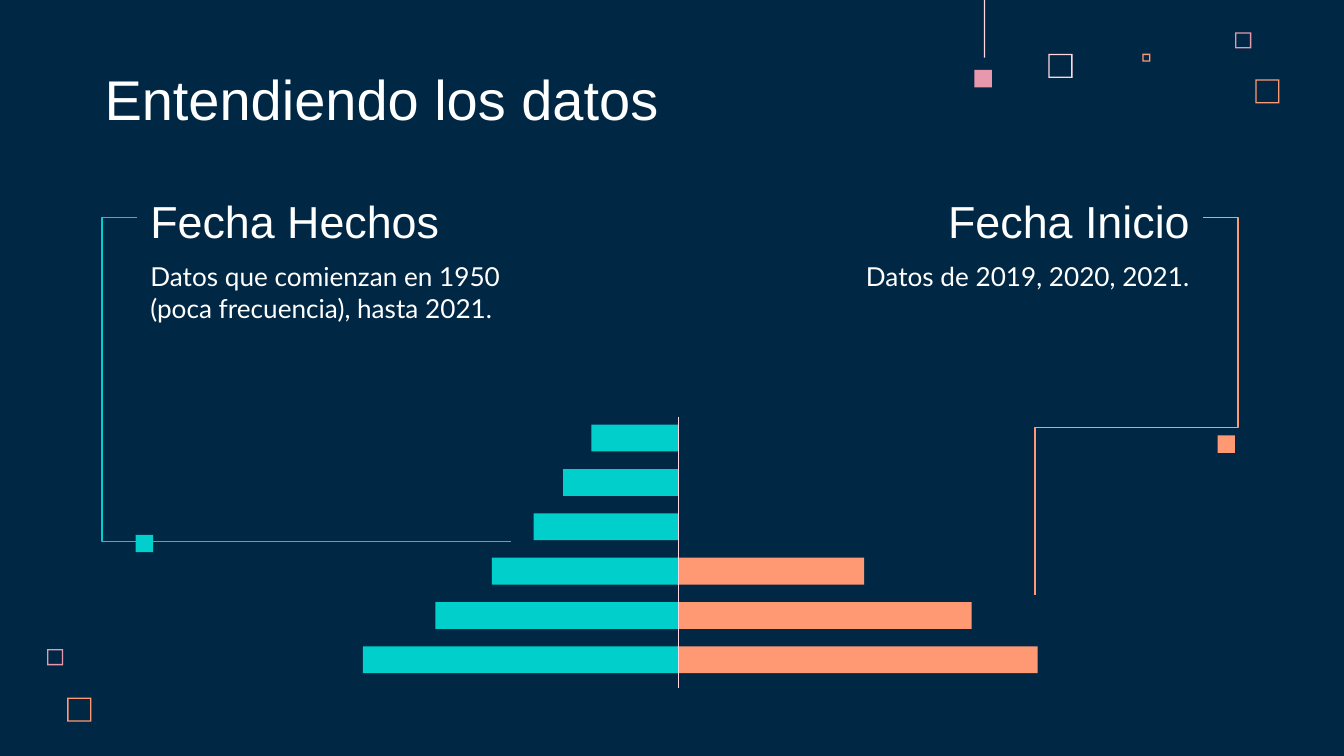
import pptx
import pptx.util
import pptx.dml.color
import pptx.enum.shapes
import pptx.enum.text
import pptx.oxml
import pptx.oxml.ns

Inches = pptx.util.Inches
Pt = pptx.util.Pt
RGBColor = pptx.dml.color.RGBColor
SHAPE = pptx.enum.shapes.MSO_SHAPE
CONNECTOR = pptx.enum.shapes.MSO_CONNECTOR
ALIGN = pptx.enum.text.PP_ALIGN
ANCHOR = pptx.enum.text.MSO_ANCHOR
qn = pptx.oxml.ns.qn

NAVY = RGBColor(0x00, 0x28, 0x45)
WHITE = RGBColor(0xFF, 0xFF, 0xFF)
TEAL = RGBColor(0x00, 0xCF, 0xCC)
ORANGE = RGBColor(0xFF, 0x99, 0x73)
PINK = RGBColor(0xE8, 0x98, 0xAC)
PALE = RGBColor(0xFF, 0xD6, 0xE1)


def add_block(slide, x, y, w, h, color, kind=SHAPE.RECTANGLE):
    s = slide.shapes.add_shape(kind, Inches(x), Inches(y), Inches(w), Inches(h))
    s.shadow.inherit = False
    s.fill.solid()
    s.fill.fore_color.rgb = color
    s.line.fill.background()
    return s


def add_hollow_square(slide, x, y, size, color):
    s = add_block(slide, x, y, size, size, color, SHAPE.FRAME)
    s.adjustments[0] = 0.01 / size


def add_line(slide, x1, y1, x2, y2, color, kind=CONNECTOR.STRAIGHT):
    s = slide.shapes.add_connector(kind, Inches(x1), Inches(y1), Inches(x2), Inches(y2))
    s.line.color.rgb = color
    s.line.width = Pt(0.75)
    s._element.spPr.append(pptx.oxml.parse_xml(
        f'<a:effectLst {pptx.oxml.ns.nsdecls("a")}/>'))
    return s


def add_bent_line(slide, start, end, preset, bends, color):
    s = add_line(slide, *start, *end, color, CONNECTOR.ELBOW)
    geometry = s._element.spPr.find(qn("a:prstGeom"))
    geometry.set("prst", preset)
    guides = geometry.find(qn("a:avLst"))
    for i, bend in enumerate(bends, 1):
        guide = guides.makeelement(
            qn("a:gd"), {"name": f"adj{i}", "fmla": f"val {round(bend * 100000)}"})
        guides.append(guide)


def add_text(slide, x, y, w, h, text, font, size, align=ALIGN.LEFT, anchor=ANCHOR.BOTTOM):
    tf = slide.shapes.add_textbox(Inches(x), Inches(y), Inches(w), Inches(h)).text_frame
    tf.word_wrap = True
    tf.vertical_anchor = anchor
    tf.margin_left = tf.margin_right = tf.margin_top = tf.margin_bottom = Inches(0.1)
    p = tf.paragraphs[0]
    p.alignment = align
    r = p.add_run()
    r.text = text
    r.font.name = font
    r.font.size = Pt(size)
    r.font.color.rgb = WHITE


def add_top_squares(slide, x, y):
    for dx, dy, size, color in ((0.55, 0.4, 0.18, PALE), (1.94, 0.24, 0.12, PINK),
                                (1.25, 0.4, 0.06, ORANGE), (2.09, 0.59, 0.18, ORANGE)):
        add_hollow_square(slide, x + dx, y + dy, size, color)
    add_block(slide, x, y + 0.52, 0.13, 0.13, PINK)
    add_block(slide, x + 0.07, y, 0.01, 0.43, PALE)


def add_bottom_squares(slide, x, y):
    add_hollow_square(slide, x, y, 0.12, PINK)
    add_hollow_square(slide, x + 0.15, y + 0.36, 0.18, ORANGE)


def add_topic(slide, x, y, w, heading, heading_w, body, align):
    heading_x = x + w - heading_w if align == ALIGN.RIGHT else x
    add_text(slide, heading_x, y, heading_w, 0.63, heading, "Arial", 24, align)
    add_text(slide, x, y + 0.53, w, 1.22, body, "Lato", 14, align, ANCHOR.TOP)


def add_pyramid(slide, x, y, w, h):
    bar, pitch = 0.2, 0.33
    axis = x + 2.35
    bottom = y + h - 0.31
    for i, width in enumerate((w - 2.34, 2.19, 1.39)):
        add_block(slide, axis - 0.01, bottom - i * pitch, width, bar, ORANGE)
    for i, width in enumerate((2.35, 1.81, 1.39, 1.08, 0.86, 0.65)):
        add_block(slide, axis - width, bottom - i * pitch, width, bar, TEAL)
    add_line(slide, axis, y, axis, y + h, PALE)


def add_links(slide, left, right, y):
    add_bent_line(slide, (left, y), (left + 2.78, y + 2.41),
                  "bentConnector3", (-0.094,), TEAL)
    add_bent_line(slide, (right, y), (right - 1.25, y + 2.81),
                  "bentConnector4", (-0.21, 0.556), ORANGE)
    add_block(slide, left - 0.01, y + 2.36, 0.13, 0.13, TEAL)
    add_block(slide, right + 0.11, y + 1.62, 0.13, 0.13, ORANGE)


def main():
    prs = pptx.Presentation()
    prs.slide_width = Inches(10)
    prs.slide_height = prs.slide_width * 9 // 16
    slide = prs.slides.add_slide(prs.slide_layouts[6])
    slide.background.fill.solid()
    slide.background.fill.fore_color.rgb = NAVY

    add_top_squares(slide, 7.25, 0)
    add_bottom_squares(slide, 0.35, 4.83)
    add_text(slide, 0.68, 0.45, 6.73, 0.63, "Entendiendo los datos", "Arial", 30)
    add_topic(slide, 1.02, 1.31, 2.87, "Fecha Hechos", 2.46,
              "Datos que comienzan en 1950 (poca frecuencia), hasta 2021.", ALIGN.LEFT)
    add_topic(slide, 5.96, 1.31, 2.99, "Fecha Inicio", 2.18,
              "Datos de 2019, 2020, 2021.", ALIGN.RIGHT)
    add_pyramid(slide, 2.7, 3.1, 5.02, 2.02)
    add_links(slide, 1.02, 8.95, 1.62)
    prs.save("out.pptx")


if __name__ == "__main__":
    main()
